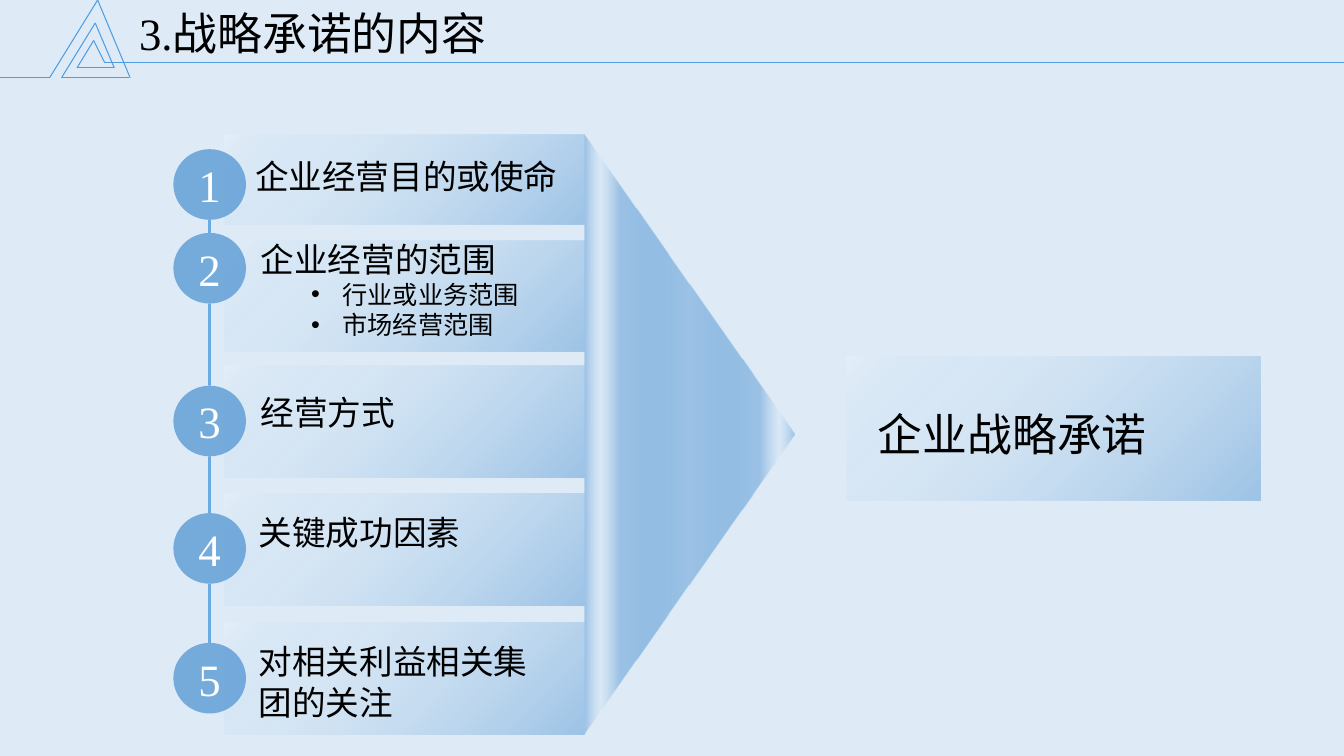
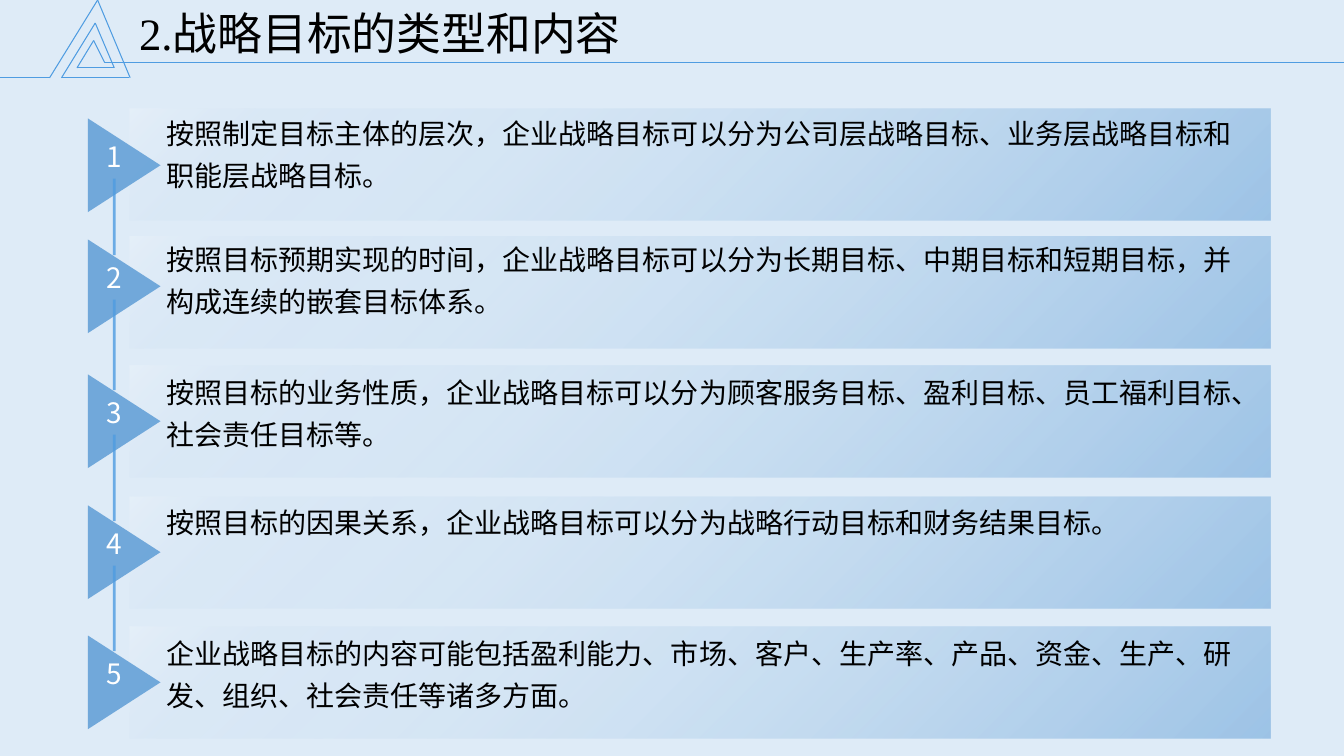
from dataclasses import dataclass
from itertools import pairwise

from lxml.etree import SubElement
from pptx import Presentation
from pptx.dml.color import RGBColor
from pptx.enum.shapes import MSO_CONNECTOR, MSO_SHAPE as Preset
from pptx.enum.text import MSO_ANCHOR as Anchor, MSO_AUTO_SIZE as AutoSize, PP_ALIGN as Align
from pptx.oxml.ns import qn
from pptx.util import Cm, Pt

BLACK, WHITE = "000000", "FFFFFF"
BACKGROUND, ACCENT, LINE_BLUE = "DEEBF7", "5B9BD5", "4F9CE1"
PALE_BLUE, MID_BLUE = "B5D2EC", "9DC3E6"
SERIF, SANS = "Times New Roman", "Noto Sans CJK SC"
# Gradient stops: position, colour, opacity, all but the colour in percent
PANEL_STOPS = [(0, ACCENT, 50), (67, PALE_BLUE, 20), (88, PALE_BLUE, 10), (100, WHITE, 20)]
FUNNEL_STOPS = [(0, ACCENT, 50), (67, MID_BLUE, 100), (85, PALE_BLUE, 10), (100, MID_BLUE, 100)]
# Header lines: x1, y1, x2, y2 in centimetres
HEADER_LINES = [
    (2.64, 1.58, 33.87, 1.58), (0, 1.96, 1.25, 1.96), (1.25, 1.96, 2.46, 0),
    (2.46, 0, 3.28, 1.96), (1.55, 1.96, 3.26, 1.96), (2.4, 0.58, 1.55, 1.96),
    (2.4, 0.58, 2.88, 1.71), (1.94, 1.71, 2.88, 1.71), (2.36, 1.02, 1.94, 1.71),
    (2.36, 1.02, 2.64, 1.58),
]


@dataclass(frozen=True)
class Box:
    """A rectangle in centimetres."""
    left: float
    top: float
    width: float
    height: float

    def lengths(self):
        return Cm(self.left), Cm(self.top), Cm(self.width), Cm(self.height)


@dataclass(frozen=True)
class TextStyle:
    size: float
    font: str = SERIF
    color: str = BLACK
    align: Align = Align.LEFT
    spacing: float = 1.0


@dataclass(frozen=True)
class Commitment:
    text: str
    panel_top: float
    panel_height: float
    circle_top: float
    text_left: float
    text_top: float
    text_width: float
    text_height: float = 1.27
    bullets: tuple[str, ...] = ()


@dataclass(frozen=True)
class Goal:
    text: str
    panel_top: float
    marker_top: float
    text_top: float


TITLE = TextStyle(32, spacing=0.9)
ITEM = TextStyle(24)
BULLET = TextStyle(18)
CIRCLE_NUMBER = TextStyle(32, color=WHITE, align=Align.CENTER)
RESULT = TextStyle(32, SANS, align=Align.CENTER, spacing=1.24)
GOAL_TEXT = TextStyle(20, spacing=1.24)
MARKER_NUMBER = TextStyle(20, SANS, WHITE, Align.CENTER)

COMMITMENTS = [
    Commitment("企业经营目的或使命", 3.4, 2.27, 3.76, 6.18, 3.81, 8.53),
    Commitment("企业经营的范围", 6.06, 2.8, 5.87, 6.32, 5.89, 8, 2.82,
               ("行业或业务范围", "市场经营范围")),
    Commitment("经营方式", 9.21, 2.82, 9.72, 6.32, 9.75, 6.55),
    Commitment("关键成功因素", 12.44, 2.82, 12.93, 6.27, 12.78, 7.85),
    Commitment("对相关利益相关集团的关注", 15.7, 2.82, 16.2, 6.27, 16.03, 7.85, 2.31),
]
GOALS = [
    Goal("按照制定目标主体的层次，企业战略目标可以分为公司层战略目标、业务层战略目标和"
         "职能层战略目标。", 2.73, 3.25, 2.62),
    Goal("按照目标预期实现的时间，企业战略目标可以分为长期目标、中期目标和短期目标，"
         "并构成连续的嵌套目标体系。", 5.97, 6.3, 5.79),
    Goal("按照目标的业务性质，企业战略目标可以分为顾客服务目标、盈利目标、员工福利目标、"
         "社会责任目标等。", 9.22, 9.7, 9.14),
    Goal("按照目标的因果关系，企业战略目标可以分为战略行动目标和财务结果目标。",
         12.51, 13, 12.42),
    Goal("企业战略目标的内容可能包括盈利能力、市场、客户、生产率、产品、资金、生产、研发、"
         "组织、社会责任等诸多方面。", 15.8, 16.28, 15.72),
]


def rgb(color: str) -> RGBColor:
    return RGBColor.from_string(color)


def set_opacity(parent, percent: int) -> None:
    """Give every colour below an element the same opacity."""
    if percent < 100:
        for color in parent.iter(qn("a:srgbClr")):
            SubElement(color, qn("a:alpha"), val=str(percent * 1000))


def write(para, text: str, style: TextStyle) -> None:
    para.alignment = style.align
    para.line_spacing = style.spacing
    para.space_before = Pt(0)
    span = para.add_run()
    span.text = text
    span.font.size = Pt(style.size)
    span.font.name = style.font
    span.font.color.rgb = rgb(style.color)
    east_asian = SubElement(span.font._element, qn("a:ea"))
    east_asian.set("typeface", SANS)


def add_bullet(frame, text: str) -> None:
    para = frame.add_paragraph()
    para.level = 1
    properties = para._p.get_or_add_pPr()
    properties.set("marL", str(Cm(2.06)))
    properties.set("indent", str(Cm(-0.79)))
    SubElement(properties, qn("a:buFont"), typeface="Arial")
    SubElement(properties, qn("a:buChar"), char="•")
    write(para, text, BULLET)


def add_text(shapes, box: Box, text: str, style: TextStyle, wrap: bool = True):
    frame = shapes.add_textbox(*box.lengths()).text_frame
    frame.word_wrap = wrap
    write(frame.paragraphs[0], text, style)
    return frame


def add_preset(shapes, preset: Preset, box: Box, opacity: int = 100):
    shape = shapes.add_shape(preset, *box.lengths())
    shape.shadow.inherit = False
    shape.fill.solid()
    shape.fill.fore_color.rgb = rgb(ACCENT)
    set_opacity(shape.element.spPr, opacity)
    shape.line.fill.background()
    return shape


def set_path_gradient(shape, stops, path: str, focus: dict[str, str]) -> None:
    """Replace the solid fill by a gradient that spreads from the focus."""
    solid = shape.element.spPr.find(qn("a:solidFill"))
    gradient = SubElement(shape.element.spPr, qn("a:gradFill"), rotWithShape="1")
    solid.getparent().replace(solid, gradient)
    stop_list = SubElement(gradient, qn("a:gsLst"))
    for position, color, opacity in stops:
        stop = SubElement(stop_list, qn("a:gs"), pos=str(position * 1000))
        SubElement(stop, qn("a:srgbClr"), val=color)
        set_opacity(stop, opacity)
    path_element = SubElement(gradient, qn("a:path"), path=path)
    SubElement(path_element, qn("a:fillToRect"), focus)


def add_panel(shapes, box: Box) -> None:
    panel = add_preset(shapes, Preset.RECTANGLE, box)
    set_path_gradient(panel, PANEL_STOPS, "circle", {"l": "100000", "t": "100000"})


def add_line(shapes, x1: float, y1: float, x2: float, y2: float,
             width: float = 0.75, opacity: int = 100) -> None:
    line = shapes.add_connector(MSO_CONNECTOR.STRAIGHT, Cm(x1), Cm(y1), Cm(x2), Cm(y2))
    line.line.width = Pt(width)
    line.line.color.rgb = rgb(LINE_BLUE)
    set_opacity(line.element.spPr, opacity)
    SubElement(line.element.spPr, qn("a:effectLst"))


def add_links(shapes, x: float, tops: list[float], height: float) -> None:
    """Join each item of a column to the next one."""
    for upper, lower in pairwise(tops):
        add_line(shapes, x, upper + height, x, lower, 2, 80)


def add_page(deck, title: str):
    page = deck.slides.add_slide(deck.slide_layouts.get_by_name("Title Only"))
    for ends in HEADER_LINES:
        add_line(page.shapes, *ends)
    heading = page.shapes.title
    heading.left, heading.top, heading.width, heading.height = Box(3.25, 0.18, 29.21, 1.7).lengths()
    frame = heading.text_frame
    frame.vertical_anchor = Anchor.TOP
    frame.auto_size = AutoSize.NONE
    write(frame.paragraphs[0], title, TITLE)
    return page


def add_circle(shapes, top: float, height: float, number: int) -> None:
    circle = add_preset(shapes, Preset.OVAL, Box(4.37, top, 1.83, height), 80)
    frame = circle.text_frame
    frame.vertical_anchor = Anchor.MIDDLE
    write(frame.paragraphs[0], str(number), CIRCLE_NUMBER)


def build_commitments(deck) -> None:
    shapes = add_page(deck, "3.战略承诺的内容").shapes
    circle_height = 1.78
    for number, item in enumerate(COMMITMENTS, 1):
        add_panel(shapes, Box(5.66, item.panel_top, 9.07, item.panel_height))
        box = Box(item.text_left, item.text_top, item.text_width, item.text_height)
        frame = add_text(shapes, box, item.text, ITEM)
        for bullet in item.bullets:
            add_bullet(frame, bullet)
        add_circle(shapes, item.circle_top, circle_height, number)
    add_links(shapes, 5.28, [item.circle_top for item in COMMITMENTS], circle_height)

    funnel = add_preset(shapes, Preset.ISOSCELES_TRIANGLE, Box(9.83, 8.31, 15.09, 5.28))
    funnel.rotation = 90
    funnel.adjustments[0] = 0.5
    center = {side: "50000" for side in "ltrb"}
    set_path_gradient(funnel, FUNNEL_STOPS, "shape", center)

    add_panel(shapes, Box(21.34, 8.99, 10.44, 3.63))
    add_text(shapes, Box(21.87, 9.8, 7.29, 1.96), "企业战略承诺", RESULT, wrap=False)


def build_goals(deck) -> None:
    shapes = add_page(deck, "2.战略目标的类型和内容").shapes
    number_height = 1.12
    number_tops = [goal.marker_top + 0.13 for goal in GOALS]
    for number, (goal, number_top) in enumerate(zip(GOALS, number_tops), 1):
        add_panel(shapes, Box(3.27, goal.panel_top, 28.75, 2.82))
        add_text(shapes, Box(3.94, goal.text_top, 28.07, 2.38), goal.text, GOAL_TEXT)
        marker = shapes.add_group_shape().shapes
        triangle = add_preset(marker, Preset.ISOSCELES_TRIANGLE,
                              Box(1.95, goal.marker_top, 2.36, 1.83), 83)
        triangle.rotation = 90
        add_text(marker, Box(2.01, number_top, 1.73, number_height), str(number), MARKER_NUMBER)
    add_links(shapes, 2.88, number_tops, number_height)


def main() -> None:
    deck = Presentation()
    deck.slide_width, deck.slide_height = Cm(33.87), Cm(19.05)
    backdrop = deck.slide_master.background.fill
    backdrop.solid()
    backdrop.fore_color.rgb = rgb(BACKGROUND)
    build_commitments(deck)
    build_goals(deck)
    deck.save("out.pptx")


if __name__ == "__main__":
    main()
